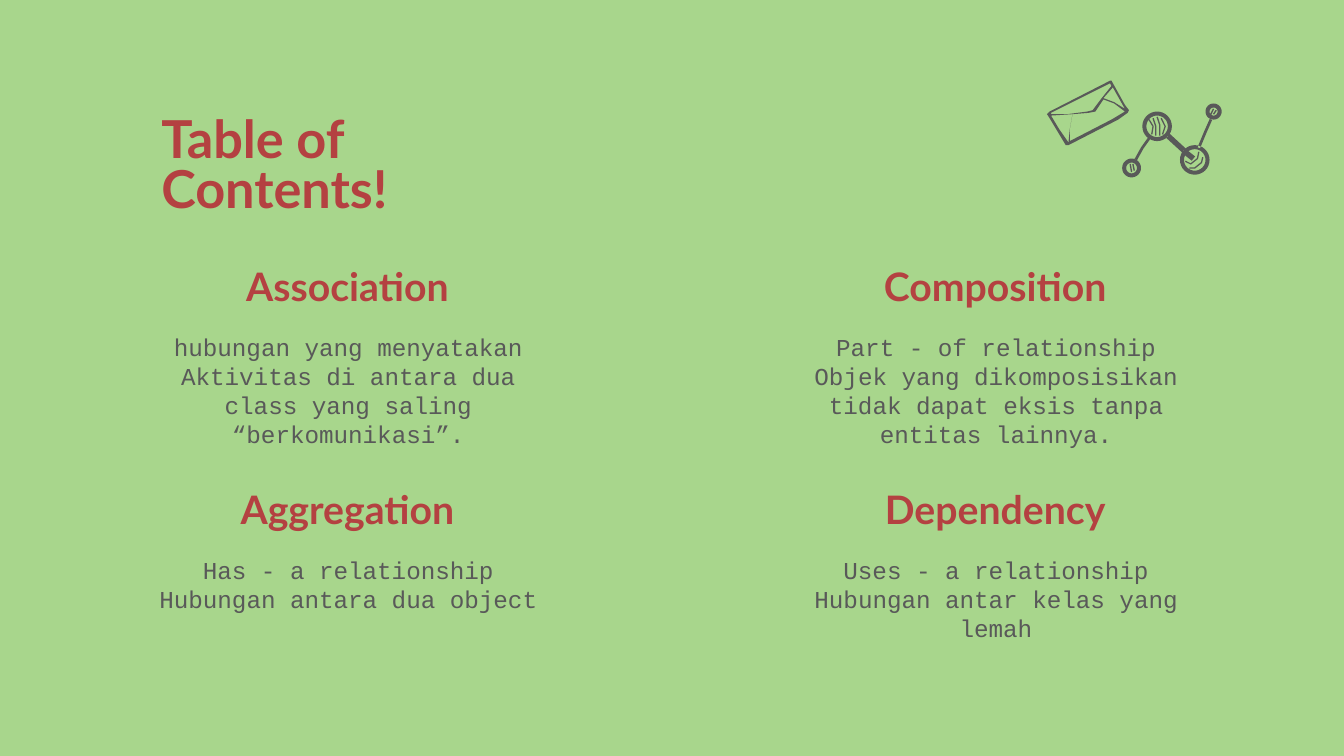
from math import cos, hypot, pi, sin

from lxml import etree
from pptx import Presentation
from pptx.dml.color import RGBColor
from pptx.enum.text import MSO_ANCHOR as Anchor, MSO_AUTO_SIZE as AutoSize, PP_ALIGN as Align
from pptx.oxml.ns import qn
from pptx.util import Inches, Pt

COLORS = {"background": "A8D68C", "heading": "B44141", "ink": "595959"}
COLUMNS = (0.99, 5.81)
ROWS = (1.87, 3.53)
TOPICS = [
    ("Association", ["hubungan yang menyatakan Aktivitas di antara dua class yang saling “berkomunikasi”."]),
    ("Composition", ["Part - of relationship", "Objek yang dikomposisikan tidak dapat eksis tanpa entitas lainnya."]),
    ("Aggregation", ["Has - a relationship", "Hubungan antara dua object"]),
    ("Dependency", ["Uses - a relationship", "Hubungan antar kelas yang lemah"]),
]
ENVELOPE = [
    [(8.26, 0.6), (8.27, 0.6), (8.37, 0.78), (8.4, 0.82), (8.39, 0.84), (8.32, 0.89),
     (7.95, 1.08), (7.93, 1.08), (7.81, 0.88), (7.79, 0.85), (7.81, 0.83)],
    [(8.28, 0.65), (8.37, 0.81), (8.29, 0.76), (8.21, 0.73)],
    [(8.26, 0.62), (8.27, 0.64), (8.19, 0.74), (8.13, 0.82), (8.09, 0.83), (7.94, 0.85), (7.82, 0.85), (7.82, 0.84)],
    [(8.21, 0.74), (8.29, 0.77), (8.37, 0.83), (8.27, 0.89), (7.96, 1.05), (7.96, 0.96),
     (7.98, 0.85), (8.1, 0.84), (8.15, 0.83)],
    [(7.98, 0.85), (7.96, 0.96), (7.95, 1.06), (7.88, 0.96), (7.82, 0.86)],
]
BALLS = [(8.61, 0.94, 0.11, 0.08), (8.89, 1.19, 0.11, 0.08), (8.42, 1.25, 0.07, 0.04), (9.03, 0.83, 0.06, 0.03)]
STROKES = [
    (0.04, [(8.69, 1.01), (8.81, 1.12)]),
    (0.04, [(8.83, 1.14), (8.88, 1.18)]),
    (0.02, [(8.55, 1.03), (8.5, 1.1), (8.45, 1.19)]),
    (0.02, [(8.92, 1.1), (8.97, 0.98), (9.01, 0.89)]),
    (0.01, [(8.55, 0.89), (8.58, 0.94), (8.57, 1.0)]),
    (0.01, [(8.58, 0.88), (8.6, 0.94), (8.6, 1.01)]),
    (0.01, [(8.61, 0.87), (8.63, 0.93), (8.63, 1.01)]),
    (0.01, [(8.64, 0.88), (8.67, 0.94), (8.65, 1.0)]),
    (0.01, [(8.82, 1.2), (8.86, 1.22), (8.91, 1.18), (8.92, 1.13)]),
    (0.01, [(8.85, 1.25), (8.89, 1.25), (8.94, 1.21), (8.95, 1.17)]),
    (0.01, [(8.41, 1.22), (8.42, 1.28)]),
    (0.01, [(8.43, 1.22), (8.44, 1.27)]),
    (0.01, [(9.03, 0.81), (9.01, 0.85)]),
    (0.01, [(9.05, 0.82), (9.03, 0.85)]),
]


def color(name):
    """Return the named colour."""
    return RGBColor.from_string(COLORS[name])


def place(shape, left, top, width, height):
    """Move and size a shape, in inches."""
    shape.left, shape.top = Inches(left), Inches(top)
    shape.width, shape.height = Inches(width), Inches(height)


def fill_text(shape, lines, font_name, size, color_name, bold, align, anchor=Anchor.TOP, spacing=1.0):
    """Write unbulleted paragraphs and format them."""
    frame = shape.text_frame
    frame.text = "\n".join(lines)
    frame.word_wrap = True
    frame.auto_size = AutoSize.NONE
    frame.vertical_anchor = anchor
    frame.margin_left = frame.margin_right = Inches(0.1)
    frame.margin_top = frame.margin_bottom = Inches(0.1)
    for paragraph in frame.paragraphs:
        properties = paragraph._p.get_or_add_pPr()
        properties.set("marL", "0")
        properties.set("indent", "0")
        paragraph.alignment = align
        paragraph.line_spacing = spacing
        paragraph.space_before = paragraph.space_after = Pt(0)
        etree.SubElement(properties, qn("a:buNone"))
        for run in paragraph.runs:
            run.font.name = font_name
            run.font.size = Pt(size)
            run.font.bold = bold
            run.font.color.rgb = color(color_name)


def add_topic(slide, body, left, top, heading, lines):
    """Add a heading and fill the body below it."""
    box = slide.shapes.add_textbox(Inches(left), Inches(top), Inches(3.19), Inches(0.53))
    fill_text(box, [heading], "Lato", 21, "heading", True, Align.CENTER, Anchor.BOTTOM)
    place(body, left + 0.03, top + 0.5, 3.14, 1.15 if len(lines) == 1 else 0.78)
    fill_text(body, lines, "Courier New", 13, "ink", False, Align.CENTER)


def circle(x, y, radius, steps=32):
    """Return the points of a circle."""
    angles = [2 * pi * step / steps for step in range(steps)]
    return [(x + radius * cos(angle), y + radius * sin(angle)) for angle in angles]


def ribbon(width, points):
    """Return the outline of a stroke of the given width."""
    left_side, right_side = [], []
    for index, (x, y) in enumerate(points):
        before, after = points[max(index - 1, 0)], points[min(index + 1, len(points) - 1)]
        run, rise = after[0] - before[0], after[1] - before[1]
        scale = width / 2 / hypot(run, rise)
        left_side.append((x - rise * scale, y + run * scale))
        right_side.append((x + rise * scale, y - run * scale))
    return left_side + right_side[::-1]


def add_icon(slide, contours):
    """Draw closed contours as one filled freeform."""
    paths = [[(Inches(x), Inches(y)) for x, y in contour] for contour in contours]
    builder = slide.shapes.build_freeform(*paths[0][0])
    for index, (start, *points) in enumerate(paths):
        if index:
            builder.move_to(*start)
        builder.add_line_segments(points, close=True)
    icon = builder.convert_to_shape()
    icon.shadow.inherit = False
    icon.fill.solid()
    icon.fill.fore_color.rgb = color("ink")
    icon.line.fill.background()


def main():
    """Build the slide and save it."""
    presentation = Presentation()
    presentation.slide_width = Inches(10)
    presentation.slide_height = Inches(10) * 9 // 16
    slide = presentation.slides.add_slide(presentation.slide_layouts[4])
    slide.background.fill.solid()
    slide.background.fill.fore_color.rgb = color("background")

    title, *bodies = list(slide.placeholders)[:5]
    place(title, 1.1, 0.78, 2.63, 0.63)
    fill_text(title, ["Table of Contents!"], "Lato", 28, "heading", True, Align.LEFT, spacing=0.8)

    rings = [circle(x, y, radius) for x, y, *radii in BALLS for radius in radii]
    add_icon(slide, rings + [ribbon(*stroke) for stroke in STROKES])
    add_icon(slide, ENVELOPE)

    for index, (body, topic) in enumerate(zip(bodies, TOPICS)):
        row, column = divmod(index, 2)
        add_topic(slide, body, COLUMNS[column], ROWS[row], *topic)
    presentation.save("out.pptx")


if __name__ == "__main__":
    main()
